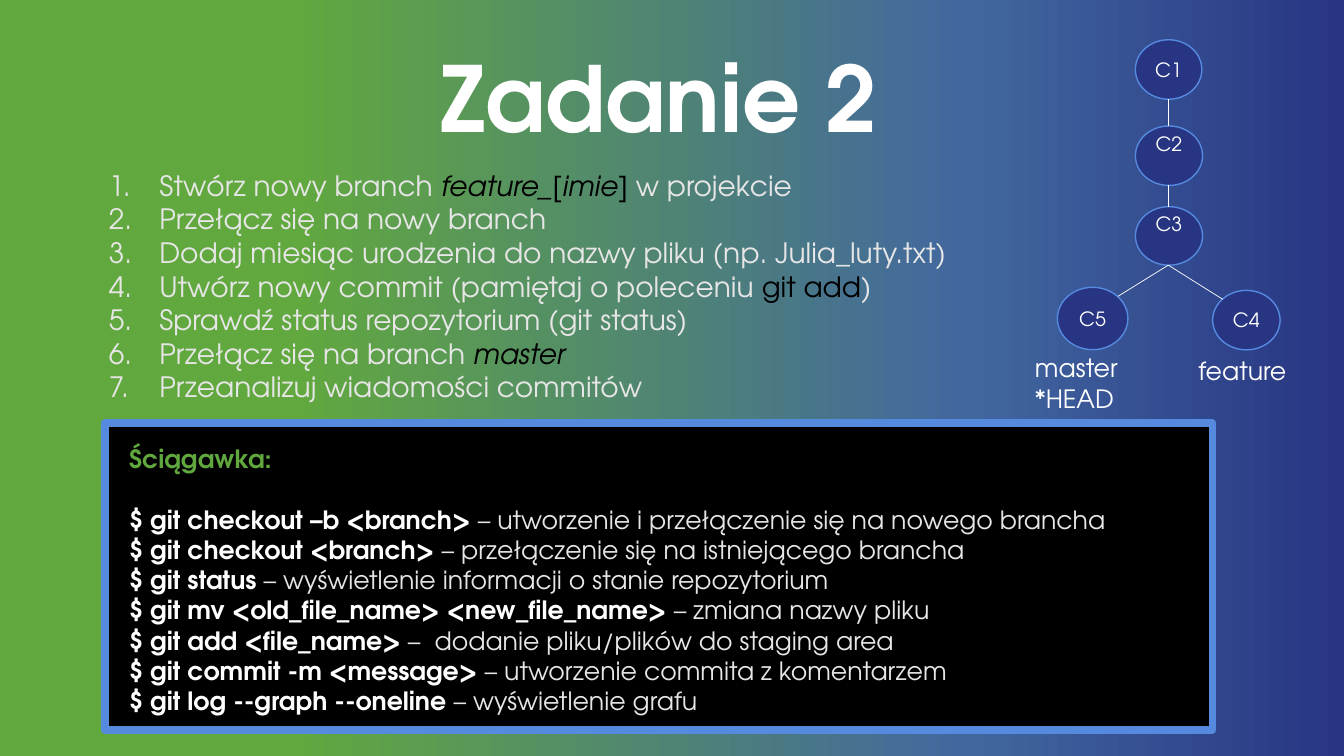
"""Build the "Zadanie 2" slide: task list, commit graph and git cheat sheet."""
from dataclasses import dataclass

from lxml.etree import SubElement
from pptx import Presentation
from pptx.dml.color import RGBColor
from pptx.enum.shapes import MSO_CONNECTOR, MSO_SHAPE
from pptx.enum.text import MSO_ANCHOR, MSO_AUTO_SIZE, PP_ALIGN
from pptx.oxml.ns import qn
from pptx.shapes.autoshape import Shape
from pptx.shapes.group import GroupShape
from pptx.slide import Slide
from pptx.text.text import TextFrame, _Paragraph
from pptx.util import Pt

FONT = "TeX Gyre Adventor"
WHITE = RGBColor(0xFF, 0xFF, 0xFF)
BLACK = RGBColor(0, 0, 0)
LIGHT = RGBColor(0xE7, 0xE6, 0xE6)
GREEN = RGBColor(0x60, 0xA7, 0x3E)
NAVY = RGBColor(0x28, 0x35, 0x83)
BLUE = RGBColor(0x55, 0x8A, 0xDF)
GRADIENT = (
    (0, NAVY),
    (28, RGBColor(0x41, 0x67, 0x9F)),
    (78, RGBColor(0x61, 0xA8, 0x3F)),
)


@dataclass(frozen=True)
class Span:
    text: str
    color: RGBColor = LIGHT
    bold: bool = False
    italic: bool = False


@dataclass(frozen=True)
class Box:
    left: float
    top: float
    width: float
    height: float


@dataclass(frozen=True)
class Commit:
    name: str
    box: Box
    raised: bool = False


@dataclass(frozen=True)
class Edge:
    start: tuple[float, float]
    end: tuple[float, float]


@dataclass(frozen=True)
class Label:
    lines: tuple[str, ...]
    box: Box


TASKS = (
    (Span("Stwórz nowy branch "), Span("feature_[imie] ", BLACK, italic=True), Span("w projekcie")),
    (Span("Przełącz się na nowy branch"),),
    (Span("Dodaj miesiąc urodzenia do nazwy pliku (np. Julia_luty.txt)"),),
    (Span("Utwórz nowy commit (pamiętaj o poleceniu "), Span("git add", BLACK), Span(")")),
    (Span("Sprawdź status repozytorium (git status)"),),
    (Span("Przełącz się na branch "), Span("master", BLACK, italic=True)),
    (Span("Przeanalizuj wiadomości commitów"),),
)
COMMANDS = (
    ("$ git checkout –b <branch> ", "– utworzenie i przełączenie się na nowego brancha"),
    ("$ git checkout <branch> ", "– przełączenie się na istniejącego brancha"),
    ("$ git status ", "– wyświetlenie informacji o stanie repozytorium"),
    ("$ git mv <old_file_name> <new_file_name> ", "– zmiana nazwy pliku"),
    ("$ git add <file_name> ", "–  dodanie pliku/plików do staging area"),
    ("$ git commit -m <message> ", "– utworzenie commita z komentarzem"),
    ("$ git log --graph --oneline ", "– wyświetlenie grafu"),
)
COMMITS = (
    Commit("C1", Box(811, 28.4, 47.5, 42.5)),
    Commit("C2", Box(811, 90, 48, 42.5), raised=True),
    Commit("C3", Box(811, 147.6, 48, 41.8), raised=True),
    Commit("C5", Box(755.3, 205.2, 50.4, 44.6)),
    Commit("C4", Box(866.2, 207.4, 48.2, 42.5)),
)
EDGES = (
    Edge((834.5, 71), (834.5, 90)),
    Edge((834.5, 132.5), (834.5, 147.6)),
    Edge((834.5, 189.4), (798.5, 211.7)),
    Edge((834.5, 189.4), (873.4, 213.8)),
)
LABELS = (
    Label(("feature",), Box(848.9, 250.6, 79.2, 28.8)),
    Label(("master", "*HEAD"), Box(732.2, 248.4, 74.2, 51.1)),
)


def place(shape: Shape, box: Box) -> None:
    """Move and size a shape."""
    shape.left, shape.top = Pt(box.left), Pt(box.top)
    shape.width, shape.height = Pt(box.width), Pt(box.height)


def add_spans(paragraph: _Paragraph, spans: tuple[Span, ...], size: float) -> None:
    """Append formatted runs to a paragraph."""
    for span in spans:
        run = paragraph.add_run()
        run.text = span.text
        run.font.name = FONT
        run.font.size = Pt(size)
        run.font.bold = span.bold
        run.font.italic = span.italic
        run.font.color.rgb = span.color


def next_paragraph(frame: TextFrame, index: int) -> _Paragraph:
    """Return the first paragraph of a frame or add a further one."""
    return frame.add_paragraph() if index else frame.paragraphs[0]


def set_margins(frame: TextFrame, left: float, top: float, right: float, bottom: float) -> None:
    """Set the four insets of a text frame."""
    frame.margin_left, frame.margin_top = Pt(left), Pt(top)
    frame.margin_right, frame.margin_bottom = Pt(right), Pt(bottom)


def paint_background(slide: Slide) -> None:
    """Fill the slide with a horizontal gradient."""
    fill = slide.background.fill
    fill.gradient()
    fill.gradient_angle = 180
    stops = next(slide.element.iter(qn("a:gsLst")))
    for stop in list(stops):
        stops.remove(stop)
    for position, color in GRADIENT:
        stop = SubElement(stops, qn("a:gs"), pos=str(position * 1000))
        SubElement(stop, qn("a:srgbClr"), val=str(color))


def fill_title(title: Shape) -> None:
    """Write the slide title."""
    place(title, Box(237.6, -2.2, 465.8, 141.8))
    frame = title.text_frame
    frame.auto_size = MSO_AUTO_SIZE.NONE
    frame.vertical_anchor = MSO_ANCHOR.MIDDLE
    paragraph = frame.paragraphs[0]
    paragraph.alignment = PP_ALIGN.CENTER
    add_spans(paragraph, (Span("Zadanie 2", WHITE, bold=True),), 65)


def fill_tasks(body: Shape) -> None:
    """Write the numbered task list."""
    place(body, Box(70.6, 116.6, 755.3, 177.1))
    frame = body.text_frame
    frame.auto_size = MSO_AUTO_SIZE.NONE
    frame.vertical_anchor = MSO_ANCHOR.TOP
    for index, spans in enumerate(TASKS):
        paragraph = next_paragraph(frame, index)
        paragraph.space_before = Pt(0)
        properties = paragraph._p.get_or_add_pPr()
        properties.set("marL", str(Pt(36)))
        properties.set("indent", str(Pt(-36)))
        SubElement(properties, qn("a:buFont"), typeface=FONT)
        SubElement(properties, qn("a:buAutoNum"), type="arabicPeriod")
        add_spans(paragraph, spans, 20)


def add_panel(shapes, kind: MSO_SHAPE, box: Box, color: RGBColor, line_width: float) -> Shape:
    """Add a flat filled shape with a blue outline."""
    shape = shapes.add_shape(kind, Pt(box.left), Pt(box.top), Pt(box.width), Pt(box.height))
    shape.shadow.inherit = False
    shape.fill.solid()
    shape.fill.fore_color.rgb = color
    shape.line.color.rgb = BLUE
    shape.line.width = Pt(line_width)
    return shape


def add_commit(graph: GroupShape, commit: Commit) -> None:
    """Draw one commit node."""
    frame = add_panel(graph.shapes, MSO_SHAPE.OVAL, commit.box, NAVY, 1).text_frame
    frame.word_wrap = False
    set_margins(frame, 0, -2 if commit.raised else 0, 0, 0)
    frame.vertical_anchor = MSO_ANCHOR.TOP if commit.raised else MSO_ANCHOR.MIDDLE
    frame.paragraphs[0].alignment = PP_ALIGN.CENTER
    add_spans(frame.paragraphs[0], (Span(commit.name, WHITE),), 14)


def add_edge(graph: GroupShape, edge: Edge) -> None:
    """Draw one line between commits."""
    ends = (Pt(value) for value in edge.start + edge.end)
    connector = graph.shapes.add_connector(MSO_CONNECTOR.STRAIGHT, *ends)
    connector.line.color.rgb = WHITE
    connector.line.width = Pt(0.5)
    SubElement(connector._element.spPr, qn("a:effectLst"))


def add_label(graph: GroupShape, label: Label) -> None:
    """Write a branch label."""
    box = label.box
    frame = graph.shapes.add_textbox(Pt(box.left), Pt(box.top), Pt(box.width), Pt(box.height)).text_frame
    frame.word_wrap = False
    for index, line in enumerate(label.lines):
        add_spans(next_paragraph(frame, index), (Span(line, WHITE),), 18)


def add_cheat_sheet(slide: Slide) -> None:
    """Draw the command panel."""
    frame = add_panel(slide.shapes, MSO_SHAPE.RECTANGLE, Box(74.9, 302.4, 791.3, 218.9), BLACK, 5.5).text_frame
    frame.word_wrap = True
    frame.vertical_anchor = MSO_ANCHOR.TOP
    set_margins(frame, 17.3, 14.4, 20.2, 8.6)
    heading = (Span("Ściągawka:", GREEN, bold=True),)
    entries = [(Span(command, WHITE, bold=True), Span(meaning)) for command, meaning in COMMANDS]
    for index, spans in enumerate([heading, *entries]):
        paragraph = next_paragraph(frame, index)
        paragraph.alignment = PP_ALIGN.LEFT
        paragraph.space_after = Pt(0 if index else 21.6)
        add_spans(paragraph, spans, 18)


def main() -> None:
    """Build and save the presentation."""
    presentation = Presentation()
    presentation.slide_width, presentation.slide_height = Pt(960), Pt(540)
    slide = presentation.slides.add_slide(presentation.slide_layouts[1])
    paint_background(slide)
    fill_title(slide.shapes.title)
    fill_tasks(slide.placeholders[1])
    graph = slide.shapes.add_group_shape()
    for items, draw in ((COMMITS, add_commit), (EDGES, add_edge), (LABELS, add_label)):
        for item in items:
            draw(graph, item)
    add_cheat_sheet(slide)
    presentation.save("out.pptx")


if __name__ == "__main__":
    main()
